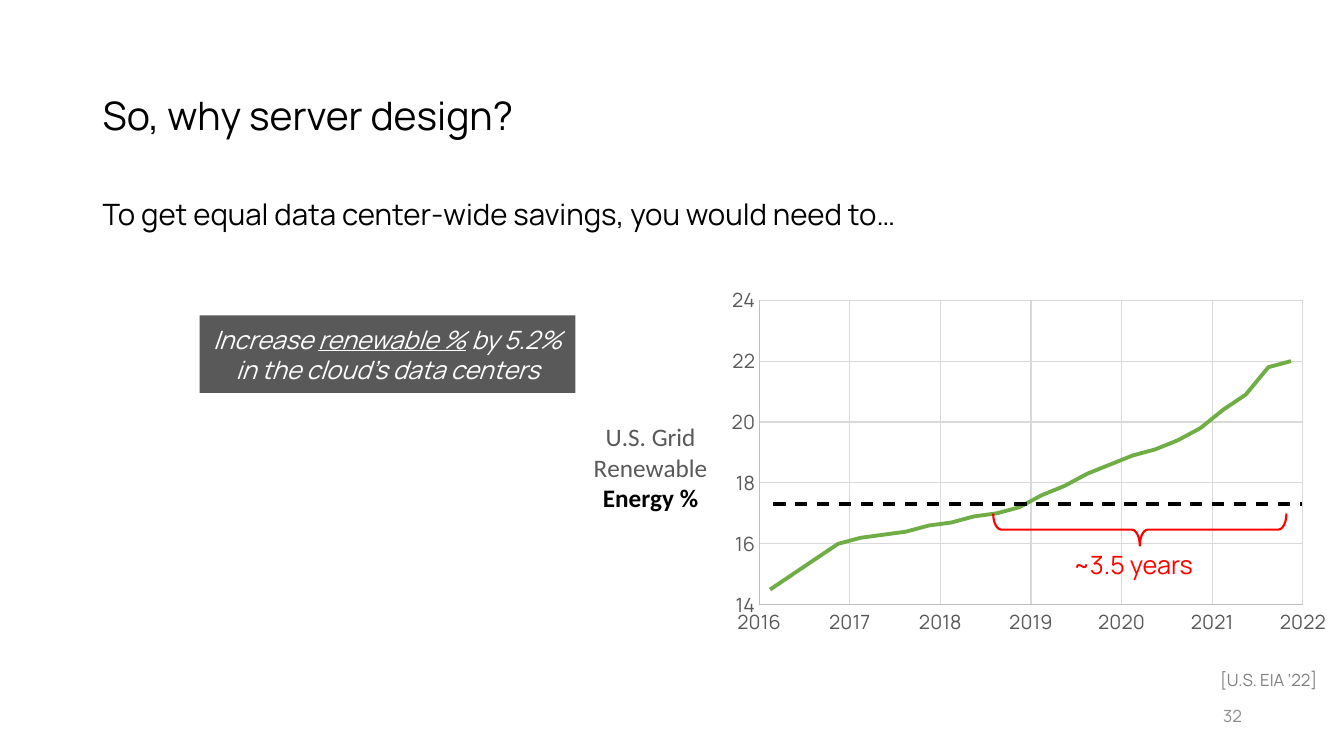
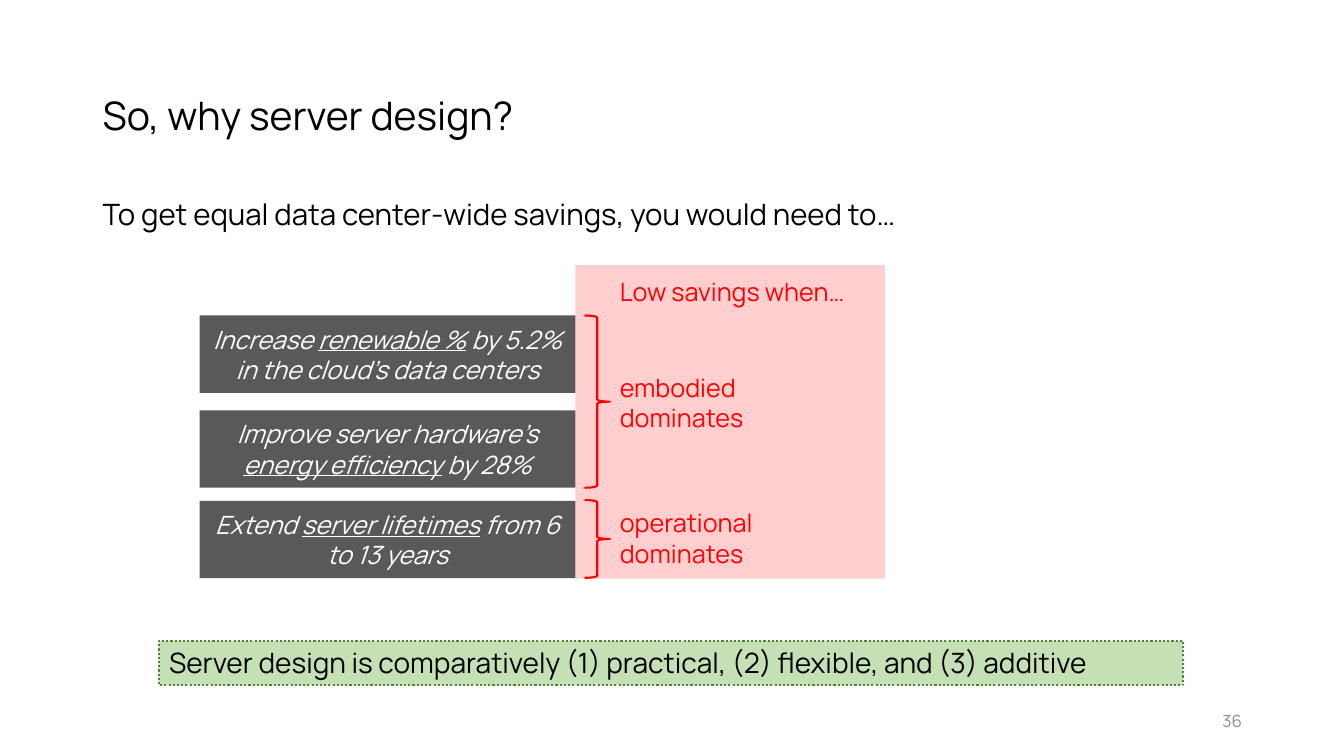
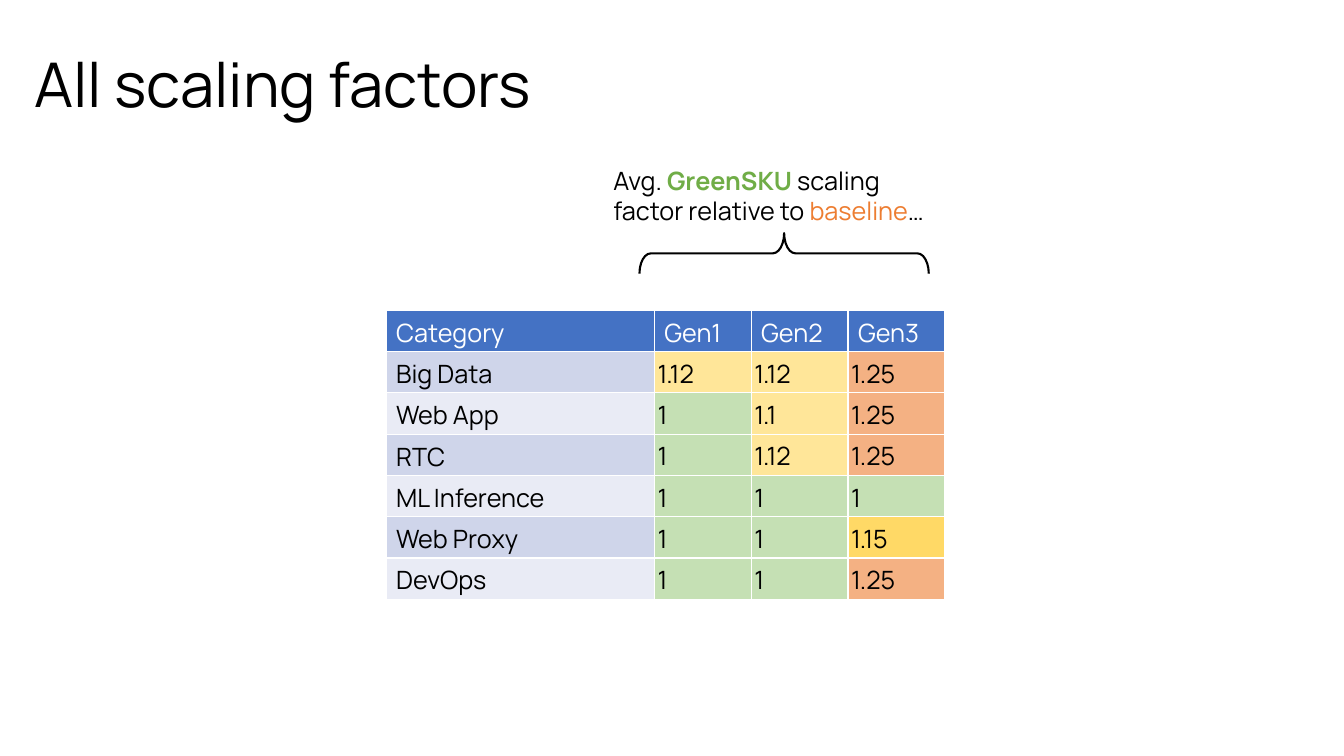
from dataclasses import dataclass
from lxml import etree
from pptx import Presentation
from pptx import util as u
from pptx.chart import data as chart_data
from pptx.dml.color import RGBColor
from pptx.enum import chart as chart_enum
from pptx.enum import dml, shapes, text
from pptx.oxml import parse_xml
from pptx.oxml.ns import nsdecls, qn


@dataclass(frozen=True)
class Theme:
    font: str = "Manrope"
    axis_title_font: str = "Calibri"
    ink: str = "000000"
    white: str = "FFFFFF"
    gray: str = "595959"
    page_gray: str = "8C8C8C"
    source_gray: str = "808080"
    grid: str = "D9D9D9"
    axis: str = "BFBFBF"
    red: str = "FF0000"
    green: str = "70AD47"
    dark_green: str = "548235"
    light_green: str = "C5E0B4"
    orange: str = "ED7D31"
    light_orange: str = "F4B183"
    yellow: str = "FFE699"
    gold: str = "FFD966"
    blue: str = "4472C4"
    bands: tuple = ("CFD5EA", "E9EBF5")
    big_title: int = 44
    title: int = 28
    lead: int = 21
    banner: int = 20
    body: int = 18
    tick: int = 14
    small: int = 12


theme = Theme()
BRACE = shapes.MSO_SHAPE.LEFT_BRACE
RECTANGLE = shapes.MSO_SHAPE.RECTANGLE
MIDDLE = text.MSO_ANCHOR.MIDDLE


def draw(slide, preset, box, fill=None, line=None, rotation=0):
    lengths = [u.Cm(value) for value in box]
    if preset is None:
        shape = slide.shapes.add_textbox(*lengths)
    else:
        shape = slide.shapes.add_shape(preset, *lengths)
        shape.shadow.inherit = False
        shape.rotation = rotation
        if fill:
            shape.fill.solid()
            shape.fill.fore_color.rgb = RGBColor.from_string(fill)
        else:
            shape.fill.background()
        if line:
            shape.line.color.rgb = RGBColor.from_string(line)
            shape.line.width = u.Pt(1.5)
        else:
            shape.line.fill.background()
    shape.text_frame.word_wrap = True
    return shape


def write(frame, paragraphs, size, color=theme.ink, align=text.PP_ALIGN.LEFT,
          anchor=None, spacing=None, font=theme.font):
    if anchor is not None:
        frame.vertical_anchor = anchor
    for index, runs in enumerate(paragraphs):
        paragraph = frame.add_paragraph() if index else frame.paragraphs[0]
        paragraph.alignment = align
        if spacing:
            paragraph.line_spacing = spacing
        for words, style in runs:
            run = paragraph.add_run()
            run.text = words
            run.font.name = font
            run.font.size = u.Pt(size)
            run.font.bold = style.get("bold", False)
            run.font.italic = style.get("italic", False)
            run.font.underline = style.get("underline", False)
            run.font.color.rgb = RGBColor.from_string(style.get("color", color))


presentation = Presentation()
presentation.slide_width = u.Cm(33.87)
presentation.slide_height = u.Cm(19.05)
reason_title = ("So, why server design?", (2.34, 1.12, 29.21, 3.68), theme.title)
table_title = ("All scaling factors", (0.61, 0.36, 14.61, 3.68), theme.big_title)
slides = []
for words, box, size in (reason_title, reason_title, table_title):
    slide = presentation.slides.add_slide(presentation.slide_layouts[6])
    write(draw(slide, None, box).text_frame, [[(words, {})]], size,
          anchor=MIDDLE, spacing=0.9)
    slides.append(slide)
grid_slide, savings_slide, factors_slide = slides

panel = draw(savings_slide, RECTANGLE, (14.5, 6.68, 7.8, 7.9), theme.red)
panel_color = panel.fill._xPr.find(qn("a:solidFill"))[0]
etree.SubElement(panel_color, qn("a:alpha")).set("val", "19000")

callouts = [
    (7.95, "Increase ", "renewable %", " by 5.2% in the cloud’s data centers"),
    (10.34, "Improve server hardware’s ", "energy efficiency", " by 28%"),
    (12.62, "Extend ", "server lifetimes", " from 6 to 13 years"),
]
for slide, number, page_top, count in (
        (grid_slide, "32", 17.53, 1), (savings_slide, "36", 17.65, 3)):
    lead = draw(slide, None, (2.34, 4.93, 29.21, 1.5))
    write(lead.text_frame,
          [[("To get equal data center-wide savings, you would need to…", {})]],
          theme.lead, spacing=0.9)
    page = draw(slide, None, (23.93, page_top, 7.62, 1.02))
    write(page.text_frame, [[(number, {})]], theme.small, theme.page_gray,
          text.PP_ALIGN.RIGHT, MIDDLE)
    for top, before, key, after in callouts[:count]:
        callout = draw(slide, RECTANGLE, (5.03, top, 9.47, 1.95), theme.gray)
        write(callout.text_frame,
              [[(before, {"italic": True}),
                (key, {"italic": True, "underline": True}),
                (after, {"italic": True})]],
              theme.body, theme.white, text.PP_ALIGN.CENTER, MIDDLE)

renewable_share = [14.5, 15, 15.5, 16, 16.2, 16.3, 16.4, 16.6, 16.7, 16.9, 17, 17.2,
                   17.6, 17.9, 18.3, 18.6, 18.9, 19.1, 19.4, 19.8, 20.4, 20.9, 21.8, 22]
points = chart_data.XyChartData()
share_series = points.add_series("Series 1")
for quarter, share in enumerate(renewable_share):
    share_series.add_data_point(round(2016.12 + quarter * 0.25, 2), share)
chart = grid_slide.shapes.add_chart(
    chart_enum.XL_CHART_TYPE.XY_SCATTER_SMOOTH_NO_MARKERS,
    u.Cm(14.5), u.Cm(7.01), u.Cm(19.3), u.Cm(9.25), points).chart
chart.has_legend = False
chart.has_title = False
chart.font.name = theme.font
chart.font.size = u.Pt(theme.tick)
chart.plots[0].vary_by_categories = False
series = chart.plots[0].series[0]
series.smooth = True
series.marker.style = chart_enum.XL_MARKER_STYLE.NONE
series.format.line.color.rgb = RGBColor.from_string(theme.green)
series.format.line.width = u.Pt(2.75)
for axis, low, high, step in ((chart.category_axis, 2016, 2022, 1),
                              (chart.value_axis, 14, 24, 2)):
    axis.minimum_scale = low
    axis.maximum_scale = high
    axis.major_unit = step
    axis.major_tick_mark = chart_enum.XL_TICK_MARK.NONE
    axis.minor_tick_mark = chart_enum.XL_TICK_MARK.NONE
    axis.has_major_gridlines = True
    axis.tick_labels.number_format = "0"
    axis.tick_labels.number_format_is_linked = False
    axis.tick_labels.font.name = theme.font
    axis.tick_labels.font.size = u.Pt(theme.tick)
    axis.tick_labels.font.color.rgb = RGBColor.from_string(theme.gray)
    for line, color in ((axis.format.line, theme.axis),
                        (axis.major_gridlines.format.line, theme.grid)):
        line.color.rgb = RGBColor.from_string(color)
        line.width = u.Pt(0.75)

axis_title = chart.value_axis.axis_title
write(axis_title.text_frame,
      [[("U.S. Grid", {})], [("Renewable", {})],
       [("Energy %", {"bold": True, "color": theme.ink})]],
      theme.body, theme.gray, text.PP_ALIGN.CENTER, font=theme.axis_title_font)
title_body = axis_title.text_frame._txBody.find(qn("a:bodyPr"))
title_body.set("rot", "0")
title_body.set("vert", "horz")
plot_layout = {"layoutTarget": "inner", "xMode": "edge", "yMode": "edge",
               "x": 0.24, "y": 0.06, "w": 0.71, "h": 0.83}
title_layout = {"xMode": "edge", "yMode": "edge", "x": 0.02, "y": 0.38}
for parent, index, settings in (
        (chart._chartSpace.chart.plotArea, 0, plot_layout),
        (axis_title._element, 1, title_layout)):
    for previous in parent.findall(qn("c:layout")):
        parent.remove(previous)
    layout = parse_xml(f"<c:layout {nsdecls('c')}><c:manualLayout/></c:layout>")
    for name, value in settings.items():
        etree.SubElement(layout[0], qn("c:" + name)).set("val", str(value))
    parent.insert(index, layout)

threshold = grid_slide.shapes.add_connector(
    shapes.MSO_CONNECTOR.STRAIGHT, u.Cm(19.48), u.Cm(12.7), u.Cm(32.82), u.Cm(12.7))
threshold.line.color.rgb = RGBColor.from_string(theme.ink)
threshold.line.width = u.Pt(2.25)
threshold.line.dash_style = dml.MSO_LINE.DASH
etree.SubElement(threshold._element.spPr, qn("a:effectLst"))

for slide, box, color, rotation, bend in (
        (grid_slide, (28.32, 9.65, 0.81, 7.39), theme.red, 270, 0.25),
        (savings_slide, (14.73, 7.95, 0.64, 4.34), theme.red, 180, 0.08),
        (savings_slide, (14.73, 12.6, 0.64, 1.96), theme.red, 180, 0.08),
        (factors_slide, (19.25, 2.74, 1.02, 7.29), theme.ink, 90, 0.28)):
    brace = draw(slide, BRACE, box, line=color, rotation=rotation)
    brace.adjustments[0] = bend

for slide, box, lines, size, color in (
        (grid_slide, (26.8, 13.72, 3.91, 1.02), ["~3.5 years"], theme.body, theme.red),
        (grid_slide, (30.5, 16.74, 3.12, 0.76), ["[U.S. EIA ’22]"],
         theme.small, theme.source_gray),
        (savings_slide, (15.37, 6.83, 6.93, 1.02), ["Low savings when…"],
         theme.body, theme.red),
        (savings_slide, (15.37, 9.25, 4.39, 1.8), ["embodied", "dominates"],
         theme.body, theme.red),
        (savings_slide, (15.37, 12.67, 4.39, 1.8), ["operational", "dominates"],
         theme.body, theme.red)):
    write(draw(slide, None, box).text_frame, [[(words, {})] for words in lines],
          size, color)

banner = draw(savings_slide, RECTANGLE, (4.01, 16.15, 25.81, 1.12),
              theme.light_green, theme.dark_green)
banner.line.dash_style = dml.MSO_LINE.ROUND_DOT
write(banner.text_frame,
      [[("Server design is comparatively (1) practical, (2) flexible, and (3) additive", {})]],
      theme.banner, anchor=text.MSO_ANCHOR.TOP)

heading = draw(factors_slide, None, (15.21, 4.04, 9.09, 1.8))
write(heading.text_frame,
      [[("Avg.", {}), (" GreenSKU", {"bold": True, "color": theme.green}),
        (" scaling factor relative to ", {}), ("baseline", {"color": theme.orange}),
        ("…", {})]], theme.body)

factor_rows = [
    ("Category", "Gen1", "Gen2", "Gen3"),
    ("Big Data", "1.12", "1.12", "1.25"),
    ("Web App", "1", "1.1", "1.25"),
    ("RTC", "1", "1.12", "1.25"),
    ("ML Inference", "1", "1", "1"),
    ("Web Proxy", "1", "1", "1.15"),
    ("DevOps", "1", "1", "1.25"),
]
factor_fills = {"1": theme.light_green, "1.1": theme.yellow, "1.12": theme.yellow,
                "1.15": theme.gold, "1.25": theme.light_orange}
table = factors_slide.shapes.add_table(
    7, 4, u.Cm(9.73), u.Cm(7.82), u.Cm(14.08), u.Cm(7.28)).table
for column, width in zip(table.columns, (6.76, 2.44, 2.44, 2.44)):
    column.width = u.Cm(width)
for row_index, values in enumerate(factor_rows):
    table.rows[row_index].height = u.Cm(1.04)
    for column_index, value in enumerate(values):
        cell = table.cell(row_index, column_index)
        color = theme.ink
        if row_index == 0:
            fill, color = theme.blue, theme.white
        elif column_index == 0:
            fill = theme.bands[(row_index - 1) % 2]
        else:
            fill = factor_fills[value]
            cell.vertical_anchor = text.MSO_ANCHOR.BOTTOM
            cell.margin_left = cell.margin_right = u.Cm(0.08)
            cell.margin_top = cell.margin_bottom = u.Cm(0.05)
        cell.fill.solid()
        cell.fill.fore_color.rgb = RGBColor.from_string(fill)
        write(cell.text_frame, [[(value, {})]], theme.body, color)

presentation.save("out.pptx")
